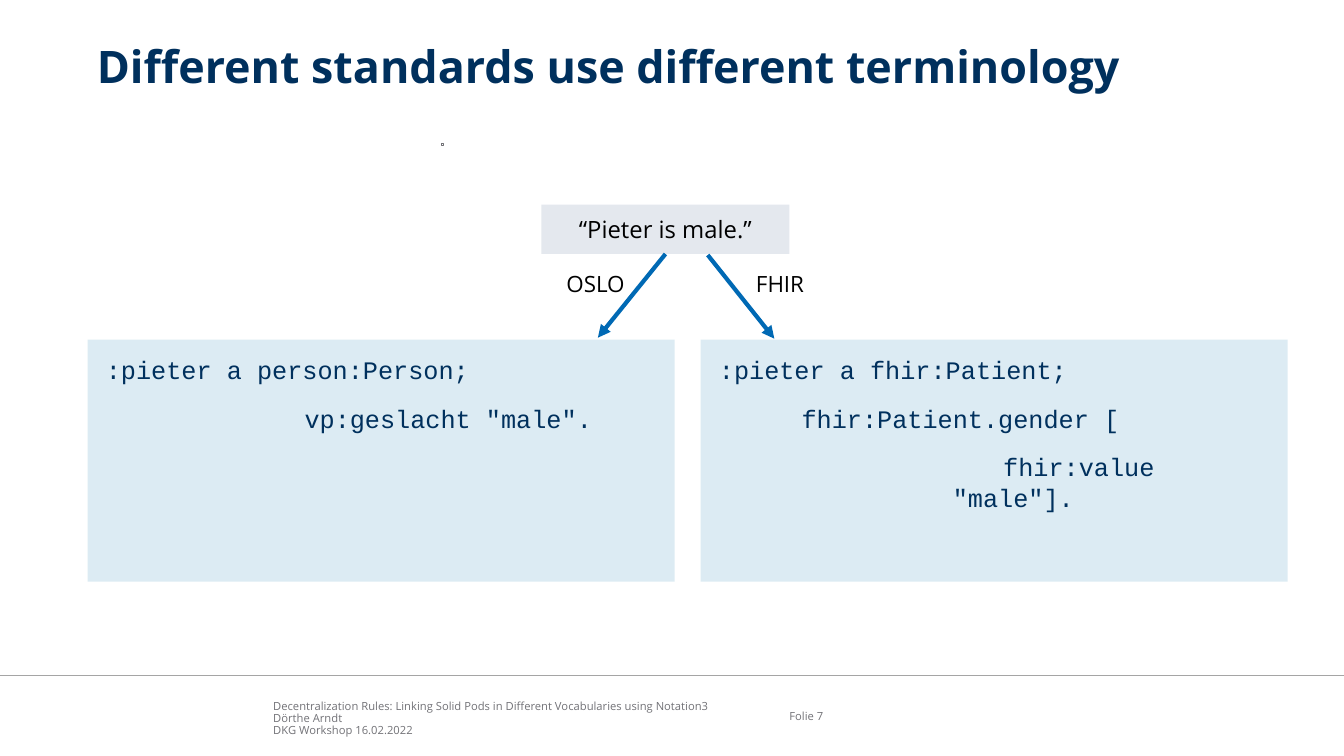
from pptx import Presentation
from pptx.dml.color import RGBColor
from pptx.enum.shapes import MSO_CONNECTOR, MSO_SHAPE
from pptx.enum.text import MSO_ANCHOR, PP_ALIGN
from pptx.oxml.ns import qn
from pptx.util import Inches, Pt
from lxml.etree import SubElement

NAVY = RGBColor(0x00, 0x30, 0x5D)
BLUE = RGBColor(0x00, 0x69, 0xB4)
LIGHT_BLUE = RGBColor(0x53, 0x9D, 0xC5)
PALE = RGBColor(0xE4, 0xE8, 0xEE)
GREY = RGBColor(0x72, 0x72, 0x77)
RULE_GREY = RGBColor(0xA5, 0xA5, 0xA5)
BLACK = RGBColor(0, 0, 0)
WHITE = RGBColor(0xFF, 0xFF, 0xFF)

prs = Presentation()
prs.slide_width, prs.slide_height = Inches(13.33), Inches(7.5)
slide = prs.slides.add_slide(prs.slide_layouts[5])
shapes = slide.shapes


def write(shape, *lines, size, color, font="Open Sans", bold=False,
          align=PP_ALIGN.LEFT, anchor=MSO_ANCHOR.TOP, margins=(0, 0, 0, 0),
          indents=(), gap=0, spacing=1.0):
    """Fill a shape with one paragraph per line; indents are (left, first line)."""
    frame = shape.text_frame
    frame.word_wrap = True
    frame.vertical_anchor = anchor
    (frame.margin_left, frame.margin_top,
     frame.margin_right, frame.margin_bottom) = map(Inches, margins)
    for number, line in enumerate(lines):
        paragraph = frame.add_paragraph() if number else frame.paragraphs[0]
        paragraph.text = line
        paragraph.alignment = align
        paragraph.line_spacing = spacing
        paragraph.space_before = Pt(gap if number else 0)
        if indents:
            left, first = indents[number]
            properties = paragraph._p.get_or_add_pPr()
            properties.set("marL", str(Inches(left)))
            properties.set("indent", str(Inches(first)))
        paragraph.font.name, paragraph.font.size = font, Pt(size)
        paragraph.font.bold = bold
        paragraph.font.color.rgb = color


def draw_line(start, end, color, width, arrow=False):
    line = shapes.add_connector(MSO_CONNECTOR.STRAIGHT, *map(Inches, start + end))
    line.line.color.rgb, line.line.width = color, Pt(width)
    if arrow:
        SubElement(line.line._get_or_add_ln(), qn("a:tailEnd"), type="triangle")
    SubElement(line._element.spPr, qn("a:effectLst"))
    return line


# Footer
draw_line((0, 6.7), (13.33, 6.7), RULE_GREY, 1)
talk = shapes.add_textbox(*map(Inches, (2.71, 6.91, 4.9, 0.4)))
write(talk, "Decentralization Rules: Linking Solid Pods in Different Vocabularies using Notation3",
      "Dörthe Arndt", "DKG Workshop 16.02.2022",
      size=8, color=GREY, anchor=MSO_ANCHOR.BOTTOM, spacing=0.88)
slide_number = shapes.add_textbox(*map(Inches, (7.83, 6.9, 0.77, 0.4)))
write(slide_number, "Folie 7", size=8, color=GREY, anchor=MSO_ANCHOR.MIDDLE)

# Title
title = shapes.title
title.left, title.top, title.width, title.height = map(Inches, (0.96, 0.38, 11.57, 0.75))
write(title, "Different standards use different terminology",
      size=32, color=NAVY, bold=True)

# The same statement in two vocabularies
vocabularies = [
    (0.87, (":pieter a person:Person;", "vp:geslacht \"male\"."),
     ((0.18, 0), (2.15, 0))),
    (6.95, (":pieter a fhir:Patient;", "fhir:Patient.gender [", "fhir:value \"male\"]."),
     ((0.18, 0), (1, 0), (2.5, 0.5))),
]
for left, code, indents in vocabularies:
    triples = shapes.add_shape(MSO_SHAPE.RECTANGLE, *map(Inches, (left, 3.37, 5.82, 2.4)))
    triples.shadow.inherit = False
    triples.line.fill.background()
    triples.fill.solid()
    triples.fill.fore_color.rgb = LIGHT_BLUE
    tint = triples._element.spPr.find(".//" + qn("a:srgbClr"))
    SubElement(tint, qn("a:alpha"), val="20000")
    write(triples, *code, size=18, color=NAVY, font="Courier New",
          margins=(0, 0.15, 0, 0), indents=indents, gap=13)

# Statement in plain language
statement = shapes.add_shape(MSO_SHAPE.RECTANGLE, *map(Inches, (5.37, 2.03, 2.46, 0.49)))
statement.shadow.inherit = False
statement.line.fill.background()
statement.fill.solid()
statement.fill.fore_color.rgb = PALE
write(statement, "“Pieter is male.”", size=17, color=BLACK, align=PP_ALIGN.CENTER,
      anchor=MSO_ANCHOR.MIDDLE, margins=(0.1, 0.1, 0.1, 0.1))

# Small dot under the title
dot = shapes.add_shape(MSO_SHAPE.ROUNDED_RECTANGLE, *map(Inches, (4.38, 1.42, 0.02, 0.02)))
dot.adjustments[0] = 0
dot.shadow.inherit = False
dot.fill.solid()
dot.fill.fore_color.rgb = WHITE
dot.line.color.rgb, dot.line.width = GREY, Pt(0.75)

# Arrows to each standard, with their names
oslo_arrow = draw_line((6.6, 2.52), (5.93, 3.35), BLUE, 3, arrow=True)
oslo_arrow.begin_connect(statement, 2)
draw_line((7.02, 2.53), (7.68, 3.36), BLUE, 3, arrow=True)
for standard, left in (("OSLO", 5.52), ("FHIR", 7.4)):
    label = shapes.add_textbox(*map(Inches, (left, 2.58, 1.2, 0.47)))
    write(label, standard, size=16, color=BLACK, margins=(0.1, 0.1, 0.1, 0.1))

prs.save("out.pptx")
